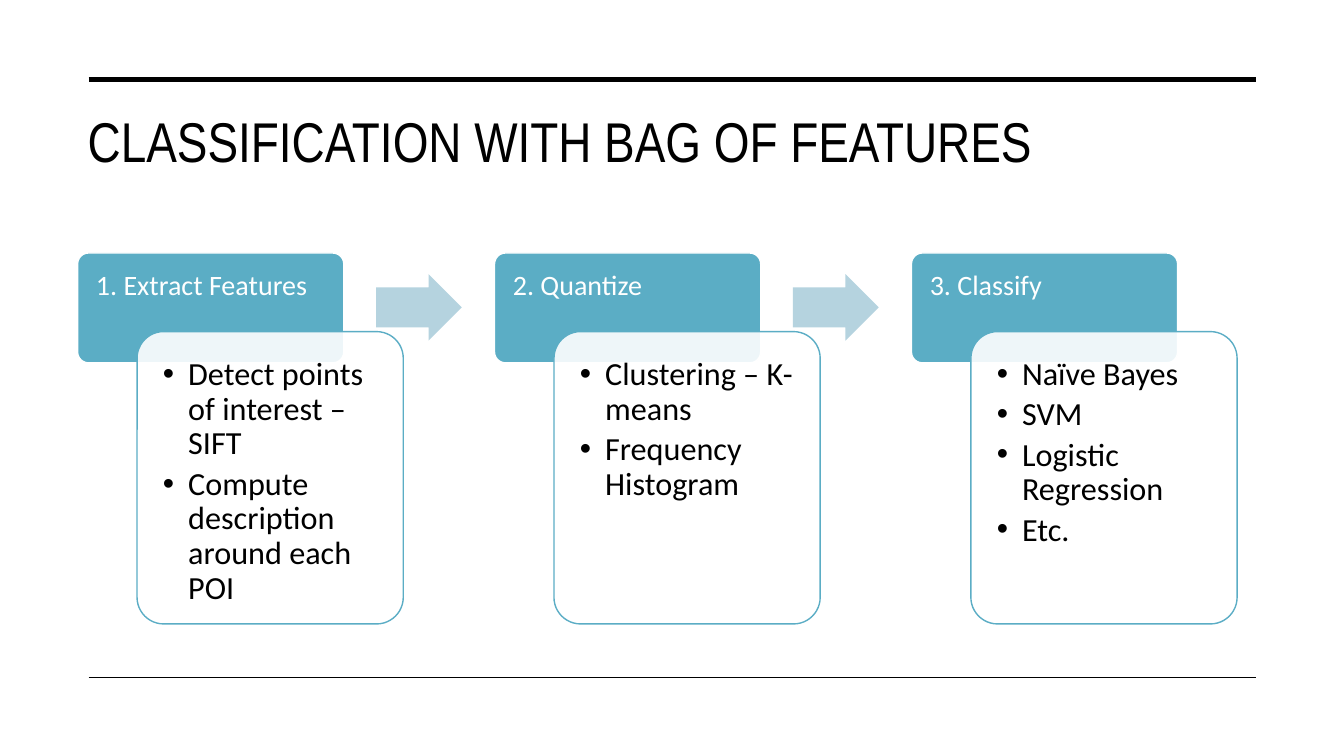
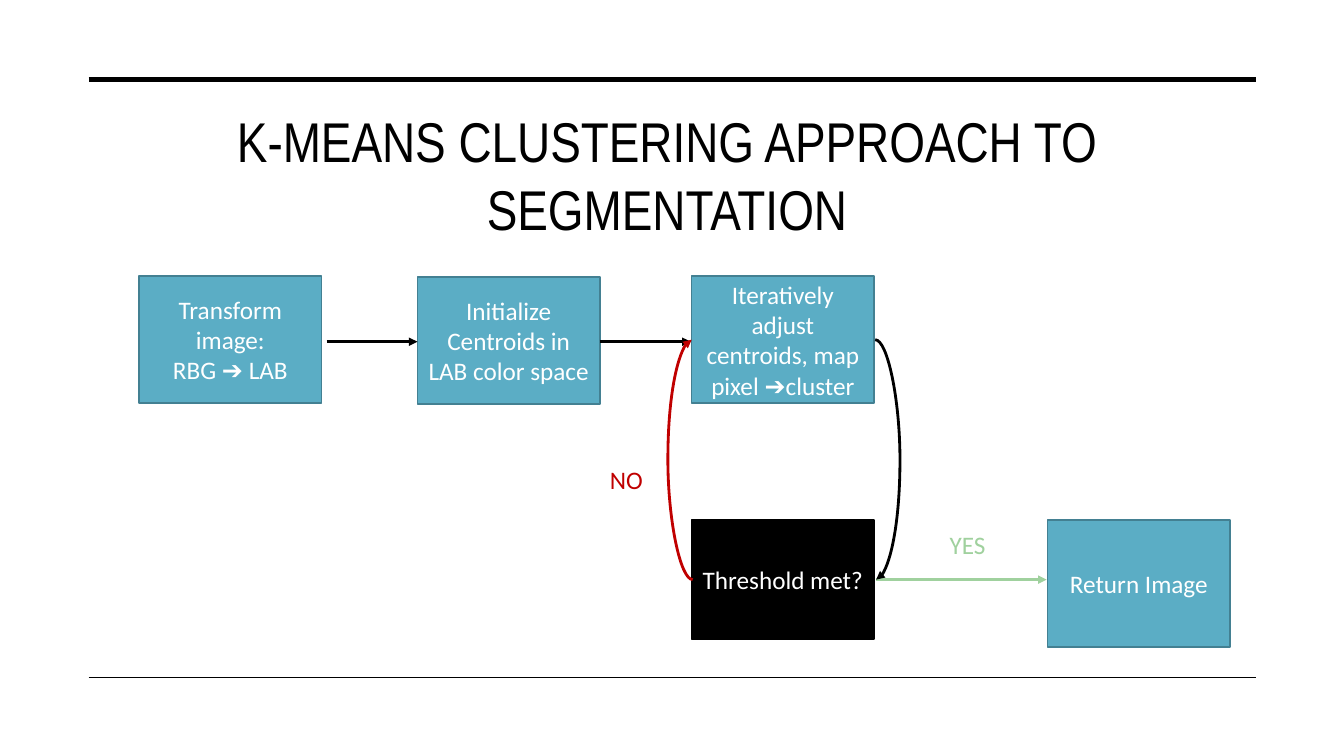
from lxml.etree import SubElement
from pptx import Presentation
from pptx.dml.color import RGBColor
from pptx.enum.shapes import MSO_CONNECTOR, MSO_SHAPE
from pptx.enum.text import MSO_ANCHOR, MSO_AUTO_SIZE, PP_ALIGN
from pptx.oxml.ns import qn
from pptx.util import Inches, Pt

HUES = {
    "black": "000000", "white": "FFFFFF", "blue": "5BADC5", "edge": "438092",
    "pale": "B5D3DF", "red": "C00000", "green": "A0D19E",
}
HUES = {name: RGBColor.from_string(code) for name, code in HUES.items()}


def block(slide, form, at, fill, edge, lines=(), size=18, hue="white", align=PP_ALIGN.CENTER):
    """Add a shape, or a bare text box when form is None."""
    place = [Inches(n) for n in at]
    if form is None:
        shape = slide.shapes.add_textbox(*place)
    else:
        shape = slide.shapes.add_shape(form, *place)
        shape.shadow.inherit = False
        shape.fill.solid()
        shape.fill.fore_color.rgb = HUES[fill]
        if edge:
            shape.line.color.rgb = HUES[edge]
            shape.line.width = Pt(1)
        else:
            shape.line.fill.background()
    frame = shape.text_frame
    frame.word_wrap = True
    frame.text = "\n".join(lines)
    for para in frame.paragraphs:
        para.alignment = align
        for run in para.runs:
            run.font.name = "Calibri"
            run.font.size = Pt(size)
            run.font.color.rgb = HUES[hue]
    return shape


def link(slide, kind, ends, hue, width, head=True):
    """Add a line, with an arrowhead at its end unless head is False."""
    line = slide.shapes.add_connector(kind, *[Inches(n) for n in ends])
    line.line.color.rgb = HUES[hue]
    line.line.width = Pt(width)
    props = line.element.spPr
    if head:
        SubElement(props.find(qn("a:ln")), qn("a:tailEnd"), type="triangle")
    SubElement(props, qn("a:effectLst"))
    return line


deck = Presentation()
deck.slide_width = Inches(13.33)
deck.slide_height = Inches(7.5)

# Shared layout: title place and two rules
base = deck.slide_layouts[5]
head = base.placeholders[0]
head.left, head.top = Inches(0.77), Inches(1.01)
head.width, head.height = Inches(11.69), Inches(1.5)

# Slides with their titles
slides = []
for text, align in [
    ("CLASSIFICATION WITH BAG OF FEATURES", PP_ALIGN.LEFT),
    ("K-MEANS CLUSTERING APPROACH TO SEGMENTATION", PP_ALIGN.CENTER),
]:
    slide = deck.slides.add_slide(base)
    frame = slide.shapes.title.text_frame
    frame.text = text
    frame.auto_size = MSO_AUTO_SIZE.NONE
    frame.vertical_anchor = MSO_ANCHOR.TOP
    frame.paragraphs[0].alignment = align
    run = frame.paragraphs[0].runs[0]
    run.font.name = "Arial Narrow"
    run.font.size = Pt(40)
    run.font.color.rgb = HUES["black"]
    run.font.element.set("spc", "30") if hasattr(run.font, "element") else run.text
    slides.append(slide)
bag, flow = slides

# Rules are drawn once and moved into the layout
for y, width in [(0.79, 3.5), (6.72, 1)]:
    rule = link(bag, MSO_CONNECTOR.STRAIGHT, (0.88, y, 12.46, y), "black", width, False)
    base.shapes.element.append(rule.element)

# Slide 1: step headers and arrows, then the cards over them
steps = [
    ("1. Extract Features",
     ["Detect points of interest – SIFT", "Compute description around each POI"]),
    ("2. Quantize", ["Clustering – K-means", "Frequency Histogram"]),
    ("3. Classify", ["Naïve Bayes", "SVM", "Logistic Regression", "Etc."]),
]
left, pitch = 0.77, 4.135
for i, (name, _) in enumerate(steps):
    x = left + i * pitch
    tab = block(bag, MSO_SHAPE.ROUNDED_RECTANGLE, (x, 2.51, 2.64, 1.09), "blue", "white",
                [name], 20, "white", PP_ALIGN.LEFT)
    tab.adjustments[0] = 0.1
    frame = tab.text_frame
    frame.vertical_anchor = MSO_ANCHOR.TOP
    frame.margin_left = frame.margin_top = frame.margin_right = Inches(0.15)
    frame.paragraphs[0].line_spacing = 0.9
    if i < len(steps) - 1:
        arrow = block(bag, MSO_SHAPE.RIGHT_ARROW, (x + 2.96, 2.72, 0.85, 0.66), "pale", None)
        arrow.adjustments[0] = 0.6

for i, (_, points) in enumerate(steps):
    card = block(bag, MSO_SHAPE.ROUNDED_RECTANGLE, (left + 0.59 + i * pitch, 3.29, 2.64, 2.9),
                 "white", "blue", points, 23, "black", PP_ALIGN.LEFT)
    card.adjustments[0] = 0.1
    tint = card.element.spPr.find(qn("a:solidFill"))[0]
    SubElement(tint, qn("a:alpha"), val="90000")
    frame = card.text_frame
    frame.vertical_anchor = MSO_ANCHOR.TOP
    frame.margin_left = frame.margin_right = Inches(0.18)
    frame.margin_top = frame.margin_bottom = Inches(0.18)
    for para in frame.paragraphs:
        para.line_spacing = 0.9
        para.space_after = Pt(4)
        props = para._p.get_or_add_pPr()
        props.set("marL", str(Inches(0.25)))
        props.set("indent", str(-Inches(0.25)))
        SubElement(props, qn("a:buFont"), typeface="Arial")
        SubElement(props, qn("a:buChar"), char="•")

# Slide 2: flow boxes
for x, y, tall, fill, edge, lines in [
    (1.38, 2.74, 1.26, "blue", "edge", ["Transform image:", "RBG ➔ LAB"]),
    (4.14, 2.75, 1.26, "blue", "edge", ["Initialize Centroids in LAB color space"]),
    (6.86, 2.74, 1.26, "blue", "edge", ["Iteratively adjust centroids, map pixel ➔cluster"]),
    (6.86, 5.16, 1.18, "black", "black", ["Threshold met?"]),
    (10.39, 5.16, 1.26, "blue", "edge", ["Return Image"]),
]:
    box = block(flow, MSO_SHAPE.RECTANGLE, (x, y, 1.81, tall), fill, edge, lines)
    box.text_frame.vertical_anchor = MSO_ANCHOR.MIDDLE

# Straight arrows
for x, y, end, hue in [
    (3.24, 3.39, 4.14, "black"), (5.95, 3.39, 6.85, "black"), (8.69, 5.75, 10.38, "green"),
]:
    link(flow, MSO_CONNECTOR.STRAIGHT, (x, y, end, y), hue, 2)

# Curved arrows: down on the right, back up on the left
for x, hue, turn in [(8.68, "black", 0), (6.86, "red", 180)]:
    curve = link(flow, MSO_CONNECTOR.CURVE, (x, 3.37, x + 0.01, 5.75), hue, 2)
    props = curve.element.spPr
    props.find(qn("a:xfrm")).set("rot", str(turn * 60000))
    bend = props.find(qn("a:prstGeom")).find(qn("a:avLst"))
    SubElement(bend, qn("a:gd"), name="adj1", fmla="val 2500000")

# Branch labels
for x, y, word, hue in [(5.95, 4.56, "NO", "red"), (9.32, 5.2, "YES", "green")]:
    block(flow, None, (x, y, 0.83, 0.4), None, None, [word], 18, hue, PP_ALIGN.LEFT)

deck.save("out.pptx")
